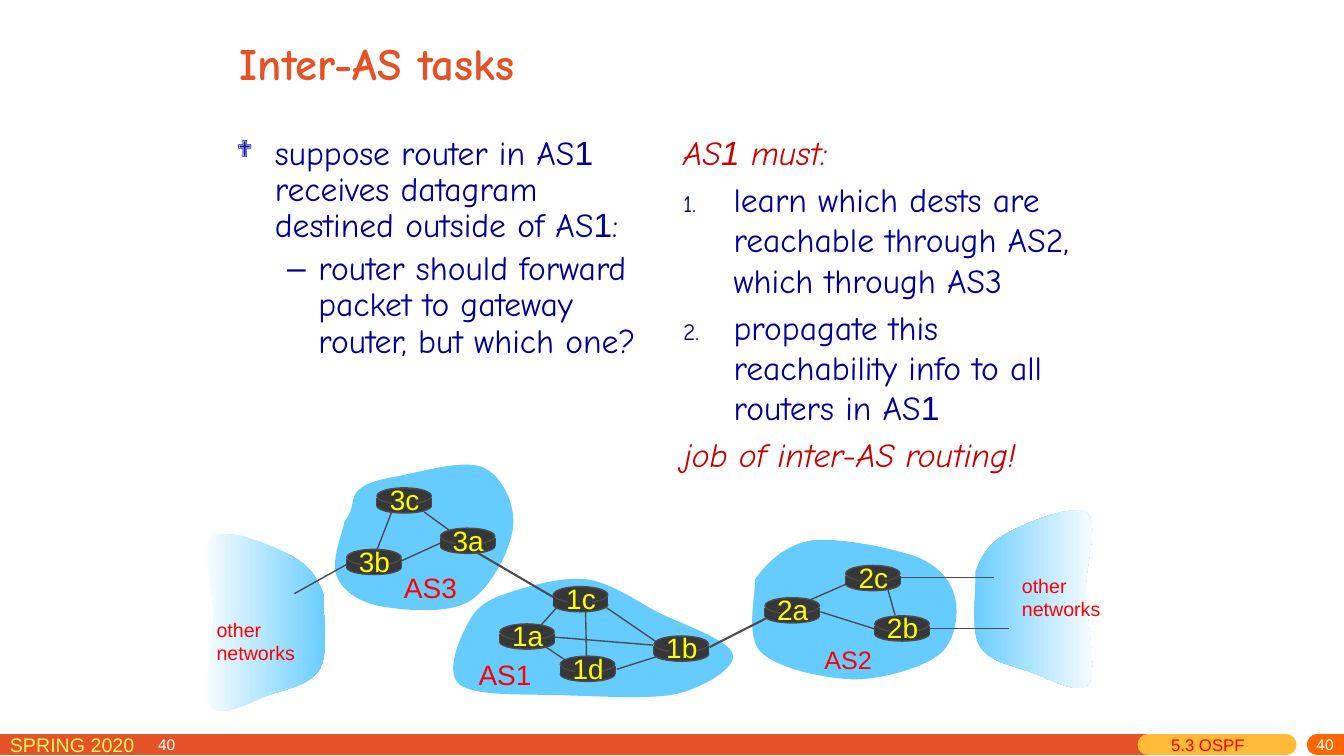
"""Build the "Inter-AS tasks" slide: two text columns above a network of autonomous systems."""
from lxml import etree
from pptx import Presentation
from pptx import util as u
from pptx.dml.color import RGBColor
from pptx.enum import shapes, text
from pptx.oxml import ns

INCH = 2.54
ORANGE = RGBColor(0xE4, 0x53, 0x27)
AMBER = RGBColor(0xFF, 0xBA, 0x37)
BRIGHT_ORANGE = RGBColor(0xFF, 0x66, 0x00)
PALE_YELLOW = RGBColor(0xFF, 0xF6, 0x5C)
YELLOW = RGBColor(0xFF, 0xFF, 0x00)
WHITE = RGBColor(0xFF, 0xFF, 0xFF)
NAVY = RGBColor(0x00, 0x00, 0x99)
DARK_RED = RGBColor(0xCC, 0x00, 0x00)
RED = RGBColor(0xFF, 0x00, 0x00)
SKY = RGBColor(0x66, 0xCC, 0xFF)
GREY = RGBColor(0x4C, 0x4C, 0x4C)
CHARCOAL = RGBColor(0x37, 0x37, 0x37)


def add_text(container, box, content, size, color, font="Arial", wrap=True):
    textbox = container.add_textbox(*[u.Cm(INCH * value) for value in box])
    frame = textbox.text_frame
    frame.word_wrap = wrap
    frame.auto_size = text.MSO_AUTO_SIZE.NONE if wrap else text.MSO_AUTO_SIZE.SHAPE_TO_FIT_TEXT
    frame.text = content
    for paragraph in frame.paragraphs:
        for run in paragraph.runs:
            run.font.size = u.Pt(size)
            run.font.name = font
            run.font.color.rgb = color
    return frame


def add_line(container, ends, width, color):
    line = container.add_connector(
        shapes.MSO_CONNECTOR.STRAIGHT, *[u.Cm(INCH * value) for value in ends])
    line.line.width = u.Pt(width)
    line.line.color.rgb = color
    etree.SubElement(line._element.spPr, ns.qn("a:effectLst"))
    return line


presentation = Presentation()
presentation.slide_width = u.Cm(33.87)
presentation.slide_height = u.Cm(19.05)
slide = presentation.slides.add_slide(presentation.slide_layouts[6])

for left, right, color in [(0, 11.39, ORANGE), (11.39, 12.76, AMBER), (13.07, 13.33, BRIGHT_ORANGE)]:
    bar = add_line(slide.shapes, (left, 7.39, right, 7.39), 15, color)
    bar.line._get_or_add_ln().set("cap", "rnd")

add_text(slide.shapes, (0, 7.22, 2.29, 0.31), "SPRING 2020", 14, PALE_YELLOW)
add_text(slide.shapes, (11.52, 7.24, 1.05, 0.31), "5.3 OSPF", 12, RED)
for left, alignment in [(1.47, text.PP_ALIGN.LEFT), (10.74, text.PP_ALIGN.RIGHT)]:
    frame = add_text(slide.shapes, (left, 7.32, 2.59, 0.18), "40", 11, WHITE)
    frame.vertical_anchor = text.MSO_ANCHOR.MIDDLE
    frame.margin_top = 0
    frame.margin_bottom = u.Cm(0.13)
    frame.paragraphs[0].alignment = alignment

title = add_text(slide.shapes, (2.28, 0, 3.61, 1.25), "Inter-AS tasks", 32, ORANGE, "Comic Neue")
title.vertical_anchor = text.MSO_ANCHOR.MIDDLE
title.paragraphs[0].runs[0].font.bold = True

NUMBER = ("a:buAutoNum", "type", "arabicPeriod", "Comic Neue")
columns = [
    ((2.25, 1.3, 4.17, 3.19), 0.9, [
        (["suppose router in AS", "1", " receives datagram destined outside of AS", "1", ":"],
         NAVY, ("a:buChar", "char", "❖", "Wingdings"), 70, 0.38, 0.38),
        (["router should forward packet to gateway router, but which one?"],
         NAVY, ("a:buChar", "char", "–", "Arial"), 100, 0.81, 0.31)]),
    ((6.68, 1.26, 4.17, 5.08), 1.0, [
        (["AS", "1", " must:"], DARK_RED, None, 100, 0.5, 0.5),
        (["learn which dests are reachable through AS2, which through AS3"],
         NAVY, NUMBER, 70, 0.5, 0.5),
        (["propagate this reachability info to all routers in AS", "1"],
         NAVY, NUMBER, 70, 0.5, 0.5),
        (["job of inter-AS routing!"], DARK_RED, None, 100, 0.5, 0.5)]),
]
for box, spacing, items in columns:
    frame = add_text(slide.shapes, box, "", 24, NAVY)
    for index, (pieces, color, marker, marker_size, margin, hanging) in enumerate(items):
        paragraph = frame.add_paragraph() if index else frame.paragraphs[0]
        paragraph.line_spacing = spacing
        paragraph.space_before = u.Pt(4.8)
        properties = paragraph._p.get_or_add_pPr()
        properties.set("marL", str(u.Cm(INCH * margin)))
        properties.set("indent", str(-u.Cm(INCH * hanging)))
        if marker:
            tag, attribute, value, marker_font = marker
            etree.SubElement(properties, ns.qn("a:buSzPct")).set("val", str(marker_size * 1000))
            etree.SubElement(properties, ns.qn("a:buFont")).set("typeface", marker_font)
            etree.SubElement(properties, ns.qn(tag)).set(attribute, value)
        for piece in pieces:
            run = paragraph.add_run()
            run.text = piece
            run.font.size = u.Pt(24)
            run.font.name = "Arial" if piece == "1" else "Comic Neue"
            run.font.color.rgb = color
            run.font.italic = color == DARK_RED

other_networks = [
    (9.68, 5.67), (9.74, 5.51), (9.81, 5.39), (9.99, 5.29), (10.18, 5.19), (10.65, 4.99),
    (10.78, 5.09), (10.91, 5.18), (10.77, 5.59), (10.77, 5.87), (10.78, 6.16), (10.89, 6.65),
    (10.8, 6.78), (10.71, 6.91), (10.39, 6.72), (10.21, 6.66), (10.03, 6.6), (9.8, 6.56),
    (9.71, 6.39), (9.63, 6.23), (9.69, 5.82), (9.68, 5.67)]
mirrored_networks = [(12.89 - x, y + 0.23) for x, y in other_networks]
as2 = [
    (7.49, 5.75), (7.6, 5.59), (7.79, 5.4), (8.06, 5.36), (8.33, 5.33), (8.87, 5.44),
    (9.11, 5.53), (9.34, 5.63), (9.45, 5.79), (9.48, 5.95), (9.51, 6.11), (9.48, 6.37),
    (9.31, 6.5), (9.14, 6.63), (8.75, 6.74), (8.46, 6.74), (8.17, 6.73), (7.71, 6.63),
    (7.55, 6.47), (7.39, 6.31), (7.5, 5.9), (7.49, 5.75)]
as3 = [
    (3.42, 5.17), (3.53, 5.04), (3.47, 4.93), (3.56, 4.86), (3.65, 4.78), (3.76, 4.76),
    (3.97, 4.72), (4.18, 4.68), (4.61, 4.55), (4.8, 4.64), (4.98, 4.72), (5.12, 5.01),
    (5.09, 5.23), (5.07, 5.45), (4.87, 5.84), (4.65, 5.97), (4.42, 6.1), (3.97, 6.05),
    (3.75, 6.01), (3.54, 5.96), (3.39, 5.85), (3.34, 5.71), (3.28, 5.57), (3.4, 5.28), (3.42, 5.17)]
as1 = [
    (4.68, 6.12), (4.78, 5.96), (4.95, 5.91), (5.14, 5.85), (5.34, 5.79), (5.61, 5.72),
    (5.84, 5.75), (6.07, 5.79), (6.28, 5.94), (6.52, 6.07), (6.76, 6.19), (7.24, 6.35),
    (7.27, 6.49), (7.31, 6.62), (7, 6.81), (6.73, 6.88), (6.47, 6.94), (6.03, 6.91),
    (5.66, 6.9), (5.3, 6.88), (4.72, 6.92), (4.56, 6.79), (4.4, 6.66), (4.58, 6.28), (4.68, 6.12)]
for curve, colors in [(other_networks, (SKY, WHITE)), (mirrored_networks, (WHITE, SKY)),
                      (as2, (SKY,)), (as3, (SKY,)), (as1, (SKY,))]:
    outline = [(u.Cm(INCH * x), u.Cm(INCH * y)) for x, y in curve]
    builder = slide.shapes.build_freeform(*outline[0])
    builder.add_line_segments(outline[1:], close=True)
    cloud = builder.convert_to_shape()
    segments = list(cloud._element.iter(ns.qn("a:lnTo")))
    for first, second, third in zip(segments[::3], segments[1::3], segments[2::3]):
        first.tag = ns.qn("a:cubicBezTo")
        for segment in (second, third):
            first.append(segment[0])
            segment.getparent().remove(segment)
    cloud.shadow.inherit = False
    cloud.line.fill.background()
    if len(colors) == 1:
        cloud.fill.solid()
        cloud.fill.fore_color.rgb = colors[0]
    else:
        cloud.fill.gradient()
        cloud.fill.gradient_angle = 0
        for stop, color in zip(cloud.fill.gradient_stops, colors):
            stop.color.rgb = color

links = {
    0.75: [(8.92, 5.73, 9.86, 5.73), (9.2, 6.24, 10.01, 6.24)],
    1: [(3.97, 5.57, 4.41, 5.37), (4.47, 5.27, 4.21, 5.08), (3.89, 5.07, 3.73, 5.48),
        (7.95, 5.99, 8.43, 5.78), (8.14, 6.07, 8.68, 6.24), (8.81, 5.85, 8.88, 6.1),
        (5.53, 6.02, 5.37, 6.2), (5.81, 6.06, 5.82, 6.56), (5.99, 6.01, 6.53, 6.38),
        (6.53, 6.51, 6.12, 6.64), (6.48, 6.4, 5.49, 6.32), (5.39, 6.4, 5.61, 6.55),
        (3.44, 5.6, 2.92, 5.89)],
    1.5: [(7.04, 6.42, 7.61, 6.13), (4.73, 5.48, 5.5, 5.93)],
}
for width, ends_list in links.items():
    for ends in ends_list:
        add_line(slide.shapes, ends, width, GREY)

routers = {
    "3b": (3.44, 5.45), "3c": (3.74, 4.84), "3a": (4.37, 5.24), "1c": (5.49, 5.82),
    "1a": (4.96, 6.19), "1d": (5.56, 6.51), "1b": (6.49, 6.31), "2a": (7.59, 5.93),
    "2c": (8.39, 5.61), "2b": (8.68, 6.11)}
OVAL, BLOCK = shapes.MSO_SHAPE.OVAL, shapes.MSO_SHAPE.RECTANGLE
router_parts = [(OVAL, 0, 0.11, 0.54, 0.14), (BLOCK, 0, 0.1, 0.54, 0.09),
                (OVAL, 0, 0, 0.54, 0.16), (BLOCK, 0.15, 0.02, 0.24, 0.21)]
for name, (x, y) in routers.items():
    router = slide.shapes.add_group_shape().shapes
    for side in (x, x + 0.54):
        add_line(router, (side, y + 0.1, side, y + 0.18), 1, GREY)
    for kind, dx, dy, width, height in router_parts:
        box = [u.Cm(INCH * value) for value in (x + dx, y + dy, width, height)]
        part = router.add_shape(kind, *box)
        part.shadow.inherit = False
        part.fill.solid()
        part.fill.fore_color.rgb = CHARCOAL
        if kind == OVAL:
            part.line.color.rgb = GREY
            part.line.width = u.Pt(1)
        else:
            part.line.fill.background()
    frame = add_text(router, (x + 0.02, y - 0.1, 0.51, 0.43), name, 20, YELLOW, wrap=False)
    frame.paragraphs[0].alignment = text.PP_ALIGN.CENTER

for box, label, size in [
        ((3.91, 5.61, 0.73, 0.43), "AS3", 20), ((8.08, 6.34, 0.67, 0.4), "AS2", 18),
        ((4.65, 6.47, 0.73, 0.43), "AS1", 20), ((10.04, 5.64, 0.99, 0.57), "other\nnetworks", 14),
        ((2.05, 6.08, 0.99, 0.57), "other\nnetworks", 14)]:
    add_text(slide.shapes, box, label, size, RED, wrap=False)

presentation.save("out.pptx")
